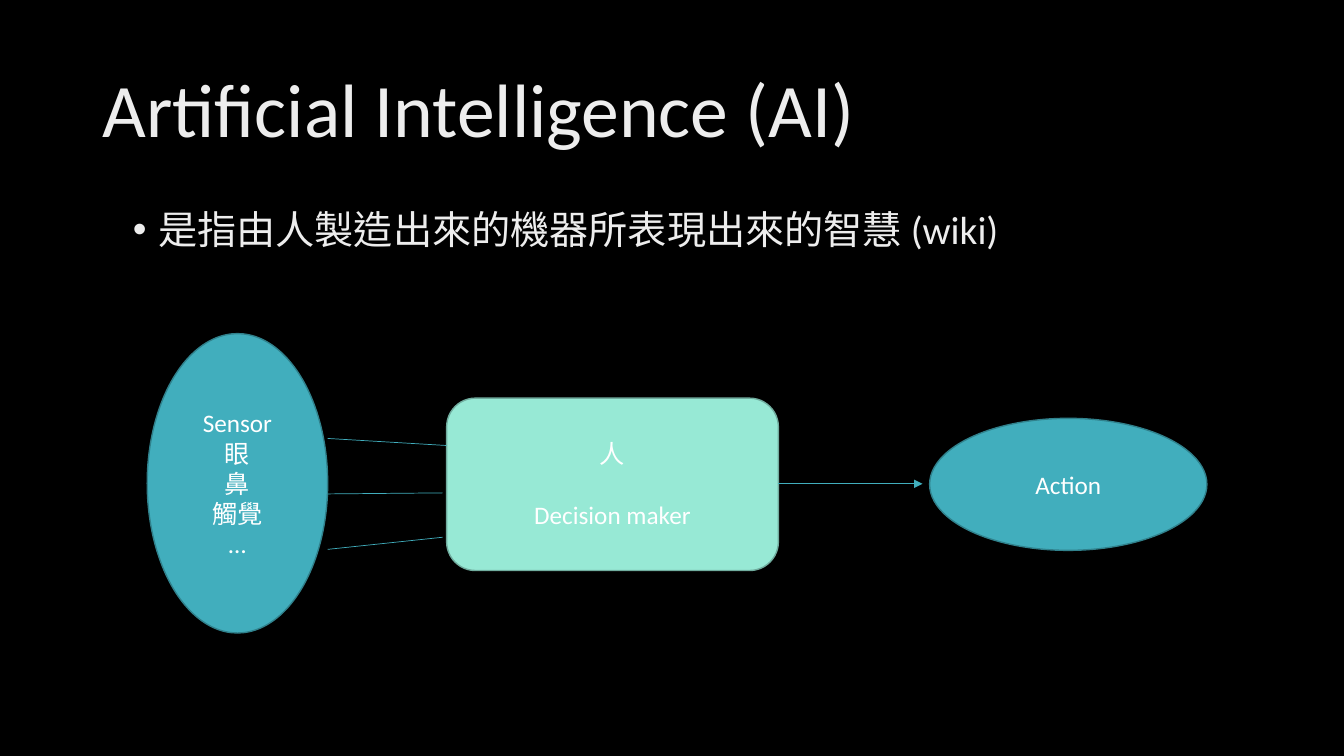
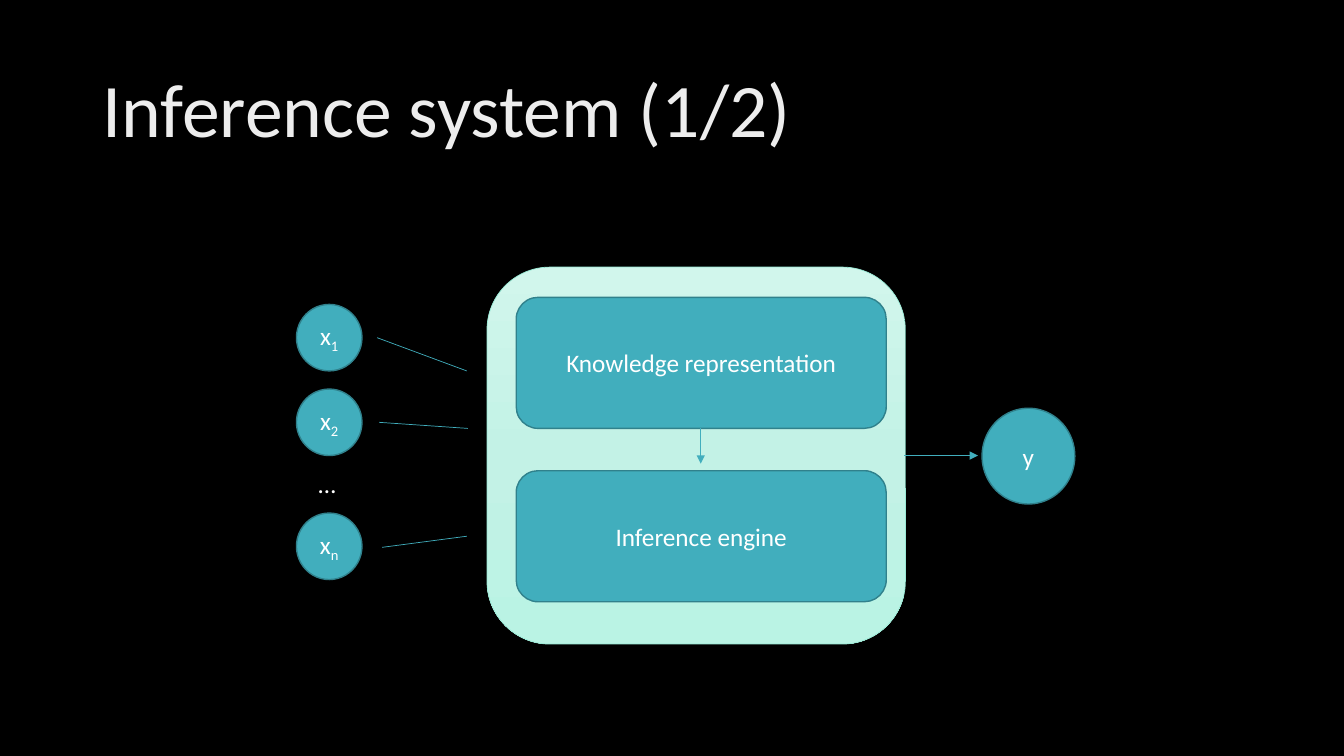
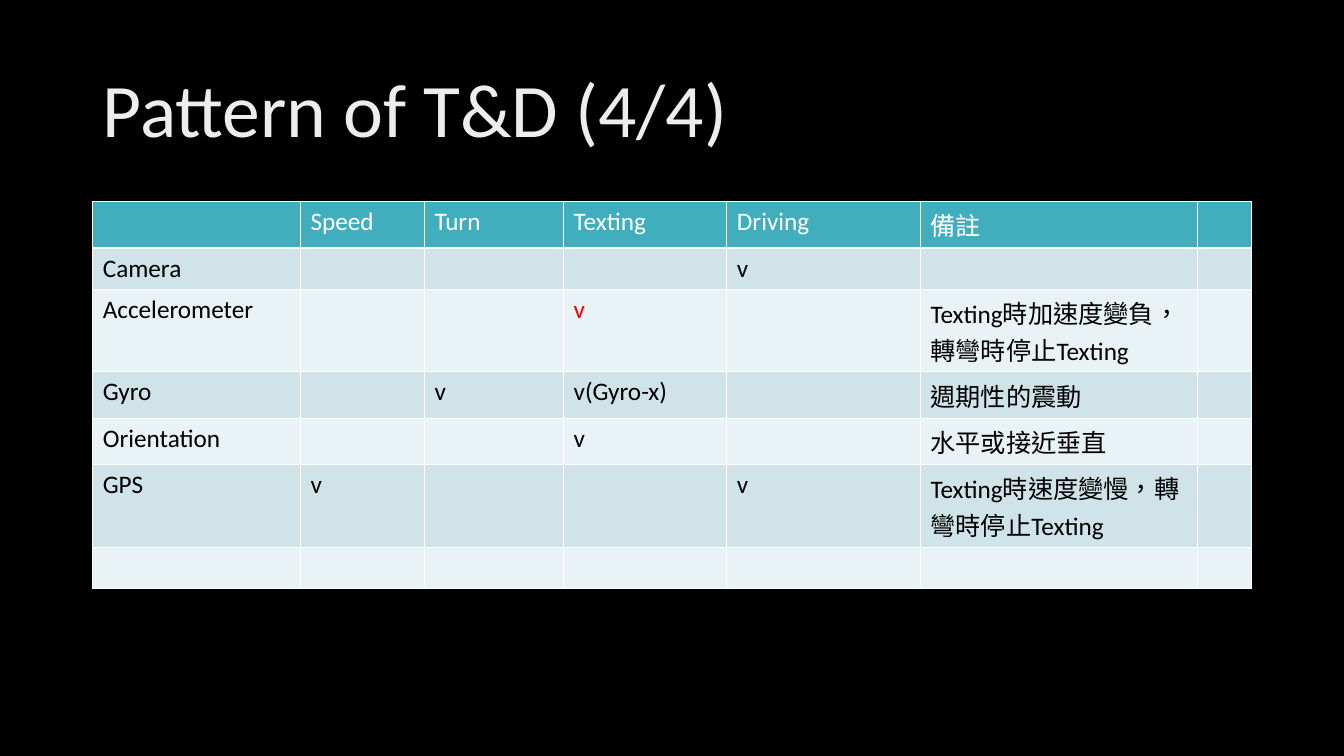
from copy import deepcopy
from dataclasses import dataclass

from lxml import etree
from pptx import Presentation
from pptx import util as u
from pptx.dml.color import RGBColor
from pptx.enum import lang, shapes, text
from pptx.oxml import ns

OVAL = shapes.MSO_SHAPE.OVAL
ROUND = shapes.MSO_SHAPE.ROUNDED_RECTANGLE


@dataclass(frozen=True)
class Theme:
    font: str = "Calibri"
    back: str = "000000"
    light: str = "EDEDED"
    white: str = "FFFFFF"
    black: str = "000000"
    red: str = "FF0000"
    teal: str = "41AEBD"
    edge: str = "30818C"
    mint: str = "97E9D5"
    rim: str = "70AC9E"
    fade: tuple = ((0, "D1F6EC"), (0.5, "C3F2E6"), (1, "BAF3E4"))
    bands: tuple = ("CFE3E8", "E9F2F4")
    title: int = 54
    body: int = 28
    label: int = 18
    thin: float = 0.5


T = Theme()


def rgb(code):
    return RGBColor.from_string(code)


def sub(node, tag, **attrs):
    return etree.SubElement(node, ns.qn(tag), attrs)


def add_run(para, words, size=T.label, color=T.white, base=None):
    run = para.add_run()
    run.text = words
    run.font.name = T.font
    run.font.size = u.Pt(size)
    run.font.color.rgb = rgb(color)
    run.font.language_id = lang.MSO_LANGUAGE_ID.TRADITIONAL_CHINESE
    if base:
        run.font._element.set("baseline", str(base * 1000))


# Text blocks

def text_box(slide, at, words, size, color, wrap=True, mid=False):
    box = slide.shapes.add_textbox(*map(u.Inches, at))
    frame = box.text_frame
    frame.word_wrap = wrap
    if mid:
        frame.vertical_anchor = text.MSO_ANCHOR.MIDDLE
    para = frame.paragraphs[0]
    add_run(para, words, size, color)
    return para


def new_slide(deck, title):
    slide = deck.slides.add_slide(deck.slide_layouts[6])
    para = text_box(slide, (0.92, 0.4, 11.5, 1.45), title, T.title, T.light, mid=True)
    para.line_spacing = 0.9
    return slide


def bullet(slide, at, words):
    para = text_box(slide, at, words, T.body, T.light)
    props = para._p.get_or_add_pPr()
    props.set("marL", str(u.Inches(0.25)))
    props.set("indent", str(-u.Inches(0.25)))
    sub(props, "a:buFont", typeface="Arial")
    sub(props, "a:buChar", char="•")
    para.line_spacing = 0.9


# Diagram parts

def node(slide, kind, at, lines=(), fill=T.teal, edge=T.edge, width=1, gap=0):
    """Each line is a string, or a (base, subscript) pair."""
    shape = slide.shapes.add_shape(kind, *map(u.Inches, at))
    shape.shadow.inherit = False
    shape.fill.solid()
    shape.fill.fore_color.rgb = rgb(fill)
    shape.line.color.rgb = rgb(edge)
    shape.line.width = u.Pt(width)
    frame = shape.text_frame
    frame.vertical_anchor = text.MSO_ANCHOR.MIDDLE
    for i, line in enumerate(lines):
        para = frame.add_paragraph() if i else frame.paragraphs[0]
        para.alignment = text.PP_ALIGN.CENTER
        if i and gap:
            para.space_before = u.Pt(gap)
        main_part, *low = (line,) if isinstance(line, str) else line
        add_run(para, main_part)
        for part in low:
            add_run(para, part, base=-25)
    return shape


def shade(shape, stops):
    shape.fill.gradient()
    shape.fill.gradient_angle = 270
    group = shape._element.spPr.find(".//" + ns.qn("a:gsLst"))
    while len(group) < len(stops):
        group.append(deepcopy(group[-1]))
    for stop, (pos, color) in zip(shape.fill.gradient_stops, stops):
        stop.position = pos
        stop.color.rgb = rgb(color)


def link(slide, x1, y1, x2, y2, arrow=False):
    line = slide.shapes.add_connector(
        shapes.MSO_CONNECTOR.STRAIGHT, *map(u.Inches, (x1, y1, x2, y2)))
    line.line.color.rgb = rgb(T.teal)
    line.line.width = u.Pt(T.thin)
    props = line._element.spPr
    if arrow:
        sub(props.find(ns.qn("a:ln")), "a:tailEnd", type="triangle")
    sub(props, "a:effectLst")


# Table

def border(cell):
    props = cell._tc.get_or_add_tcPr()
    for side in "LRTB":
        line = sub(props, "a:ln" + side, w=str(u.Pt(1)))
        sub(sub(line, "a:solidFill"), "a:srgbClr", val=T.white)


def grid(slide, left, top, cols, highs, rows, marks):
    frame = slide.shapes.add_table(
        len(rows), len(cols), u.Inches(left), u.Inches(top),
        u.Inches(sum(cols)), u.Inches(sum(highs)))
    table = frame.table
    for col, wide in zip(table.columns, cols):
        col.width = u.Inches(wide)
    for r, (row, high) in enumerate(zip(rows, highs)):
        table.rows[r].height = u.Inches(high)
        for c, words in enumerate(row):
            cell = table.cell(r, c)
            border(cell)
            cell.fill.solid()
            cell.fill.fore_color.rgb = rgb(T.bands[(r - 1) % 2] if r else T.teal)
            if words:
                color = marks.get((r, c), T.black if r else T.white)
                add_run(cell.text_frame.paragraphs[0], words, color=color)


# Slides

def agent(deck):
    slide = new_slide(deck, "Artificial Intelligence (AI)")
    bullet(slide, (1.22, 2.04, 11.19, 4.76), "是指由人製造出來的機器所表現出來的智慧 (wiki)")
    node(slide, ROUND, (4.43, 3.95, 3.29, 1.71), ("人", "Decision maker"),
         T.mint, T.rim, gap=22)
    node(slide, OVAL, (1.46, 3.31, 1.79, 2.97), ("Sensor", "眼", "鼻", "觸覺", "…"))
    node(slide, OVAL, (9.22, 4.15, 2.75, 1.31), ("Action",))
    link(slide, 7.72, 4.8, 9.15, 4.8, arrow=True)
    for y1, x2, y2 in ((4.35, 4.43, 4.42), (4.9, 4.39, 4.89), (5.45, 4.39, 5.33)):
        link(slide, 3.25, y1, x2, y2)


def system(deck):
    slide = new_slide(deck, "Inference system (1/2)")
    panel = node(slide, ROUND, (4.83, 2.65, 4.15, 3.74), edge=T.mint, width=T.thin)
    shade(panel, T.fade)
    for y, words in ((2.95, "Knowledge representation"), (4.67, "Inference engine")):
        node(slide, ROUND, (5.12, y, 3.67, 1.3), (words,))
    link(slide, 6.95, 4.25, 6.95, 4.6, arrow=True)
    link(slide, 8.97, 4.52, 9.7, 4.52, arrow=True)
    node(slide, OVAL, (9.74, 4.05, 0.92, 0.95), ("y",))
    inputs = (("1", 3.02, (3.74, 3.35, 4.63, 3.68)),
              ("2", 3.86, (3.76, 4.19, 4.64, 4.25)),
              ("n", 5.09, (3.79, 5.43, 4.63, 5.32)))
    for low, y, ends in inputs:
        node(slide, OVAL, (2.94, y, 0.65, 0.66), (("x", low),))
        link(slide, *ends)
    text_box(slide, (3.06, 4.6, 0.4, 0.4), "…", T.label, T.white, wrap=False)


def pattern(deck):
    slide = new_slide(deck, "Pattern of T&D (4/4)")
    cols = (2.06, 1.23, 1.38, 1.62, 1.92, 2.75, 0.53)
    rows = (
        ("", "Speed", "Turn", "Texting", "Driving", "備註", ""),
        ("Camera", "", "", "", "v", "", ""),
        ("Accelerometer", "", "", "v", "", "Texting時加速度變負，轉彎時停止Texting", ""),
        ("Gyro", "", "v", "v(Gyro-x)", "", "週期性的震動", ""),
        ("Orientation", "", "", "v", "", "水平或接近垂直", ""),
        ("GPS", "v", "", "", "v", "Texting時速度變慢，轉彎時停止Texting", ""),
        ("",) * len(cols),
    )
    # Row heights: Latin only, one line of Chinese, two lines of Chinese
    low, mid, tall = 0.41, 0.46, 0.82
    highs = (mid, low, tall, mid, mid, tall, low)
    grid(slide, 0.92, 2, cols, highs, rows, marks={(2, 3): T.red})


def main():
    deck = Presentation()
    deck.slide_width, deck.slide_height = u.Inches(13.33), u.Inches(7.5)
    back = deck.slide_master.background.fill
    back.solid()
    back.fore_color.rgb = rgb(T.back)
    for build in (agent, system, pattern):
        build(deck)
    deck.save("out.pptx")


if __name__ == "__main__":
    main()
